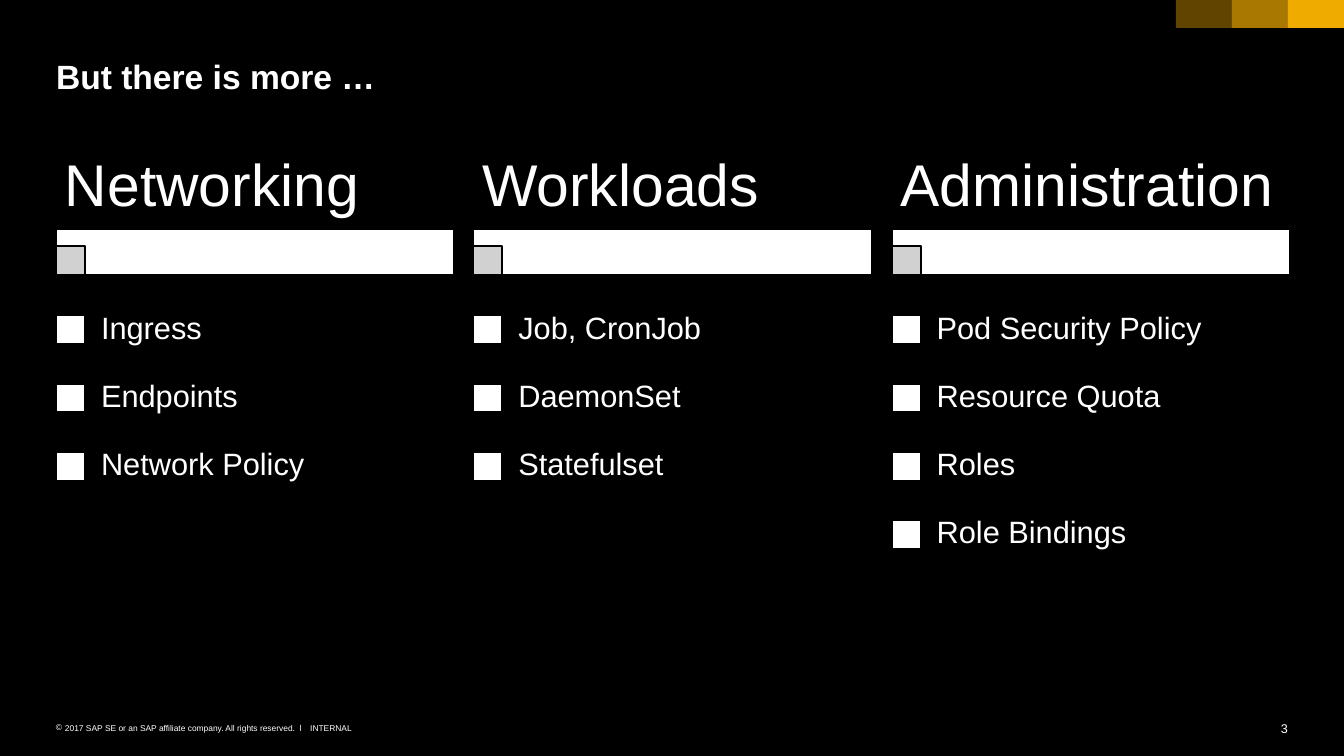
from dataclasses import dataclass

from lxml import etree
from pptx import Presentation
from pptx import util as u
from pptx.dml.color import RGBColor
from pptx.enum import shapes, text
from pptx.oxml.ns import qn

EMU_PER_PX = 9080
PAGE_W, PAGE_H = 1343, 755
LEFT = 56
FONT = "Arial"
COLORS = {"black": "000000", "white": "FFFFFF", "grey": "CCCCCC", "gold": "F0AB00"}

COLUMN_W = 398
BAR_TOP, BAR_H = 229, 46
MARKER = 29
ITEM_TOP, ITEM_H, ITEM_INDENT = 295, 68, 28
SWATCH_W, SWATCH_H = 56, 28


@dataclass
class Column:
    heading: str
    items: list[str]


@dataclass
class Style:
    size: int
    inset_x: int = 0
    inset_y: int = 0
    anchor: text.MSO_ANCHOR = text.MSO_ANCHOR.TOP
    align: text.PP_ALIGN = text.PP_ALIGN.LEFT
    bold: bool = False
    wrap: bool = True
    line_spacing: float = 1.0
    bullet: str = ""


TITLE = Style(24, bold=True)
HEADING = Style(42, 9, 6, text.MSO_ANCHOR.MIDDLE, line_spacing=0.9)
ITEM = Style(22, 17, 17, text.MSO_ANCHOR.MIDDLE, line_spacing=0.9)
COPYRIGHT = Style(6, bullet="©")
LABEL = Style(6, wrap=False)
NUMBER = Style(9, align=text.PP_ALIGN.RIGHT, wrap=False)

COLUMNS = [
    Column("Networking", ["Ingress", "Endpoints", "Network Policy"]),
    Column("Workloads", ["Job, CronJob", "DaemonSet", "Statefulset"]),
    Column("Administration",
           ["Pod Security Policy", "Resource Quota", "Roles", "Role Bindings"]),
]


def px(length: int) -> u.Emu:
    return u.Emu(length * EMU_PER_PX)


def color(name: str) -> RGBColor:
    return RGBColor.from_string(COLORS[name])


def add_bullet(para, mark: str) -> None:
    props = para._p.get_or_add_pPr()
    props.set("marL", str(px(9)))
    props.set("indent", str(-px(9)))
    tint = etree.SubElement(props, qn("a:buClr"))
    etree.SubElement(tint, qn("a:srgbClr"), val=COLORS["white"])
    etree.SubElement(props, qn("a:buFont"), typeface=FONT)
    etree.SubElement(props, qn("a:buChar"), char=mark)


def write(box, words: str, style: Style) -> None:
    frame = box.text_frame
    frame.word_wrap = style.wrap
    frame.auto_size = text.MSO_AUTO_SIZE.NONE
    frame.vertical_anchor = style.anchor
    frame.margin_left = frame.margin_right = px(style.inset_x)
    frame.margin_top = frame.margin_bottom = px(style.inset_y)
    para = frame.paragraphs[0]
    para.text = words
    para.alignment = style.align
    para.line_spacing = style.line_spacing
    para.space_before = u.Pt(0)
    if style.bullet:
        add_bullet(para, style.bullet)
    para.font.name = FONT
    para.font.size = u.Pt(style.size)
    para.font.bold = style.bold
    para.font.color.rgb = color("white")


def add_text(page, x: int, y: int, w: int, h: int, words: str, style: Style) -> None:
    write(page.shapes.add_textbox(px(x), px(y), px(w), px(h)), words, style)


def add_rect(page, x: int, y: int, w: int, h: int, fill: str,
             opacity: int = 100, outlined: bool = True) -> None:
    rect = page.shapes.add_shape(
        shapes.MSO_SHAPE.RECTANGLE, px(x), px(y), px(w), px(h))
    rect.shadow.inherit = False
    rect.fill.solid()
    rect.fill.fore_color.rgb = color(fill)
    if opacity < 100:
        tint = rect._element.spPr.find(qn("a:solidFill")).find(qn("a:srgbClr"))
        etree.SubElement(tint, qn("a:alpha"), val=str(opacity * 1000))
    if outlined:
        rect.line.color.rgb = color("black")
        rect.line.width = u.Pt(1.5)
    else:
        rect.line.fill.background()


def add_column(page, x: int, column: Column) -> None:
    add_rect(page, x, BAR_TOP, COLUMN_W, BAR_H, "white")
    add_rect(page, x, BAR_TOP + BAR_H - MARKER, MARKER, MARKER, "grey", 90)
    add_text(page, x, 145, COLUMN_W, 84, column.heading, HEADING)
    for row, item in enumerate(column.items):
        y = ITEM_TOP + row * ITEM_H
        add_rect(page, x, y + (ITEM_H - MARKER + 1) // 2, MARKER, MARKER, "white")
        add_text(page, x + ITEM_INDENT, y, COLUMN_W - ITEM_INDENT, ITEM_H, item, ITEM)


def add_frame(page) -> None:
    """Draw the footer and the corner swatches."""
    add_text(page, 1272, 720, 15, 15, "3", NUMBER)
    add_text(page, 310, 722, 42, 10, "INTERNAL", LABEL)
    add_text(page, LEFT, 722, 250, 10,
             "2017 SAP SE or an SAP affiliate company. All rights reserved.  ǀ",
             COPYRIGHT)
    for place, opacity in enumerate([100, 70, 40], start=1):
        add_rect(page, PAGE_W - place * SWATCH_W, 0, SWATCH_W, SWATCH_H,
                 "gold", opacity, outlined=False)


def main() -> None:
    deck = Presentation()
    deck.slide_width, deck.slide_height = px(PAGE_W), px(PAGE_H)
    page = deck.slides.add_slide(deck.slide_layouts[5])
    page.background.fill.solid()
    page.background.fill.fore_color.rgb = color("black")

    title = page.shapes.title
    title.left, title.top, title.width, title.height = map(px, (LEFT, 56, 1231, 40))
    write(title, "But there is more …", TITLE)

    add_frame(page)
    for place, column in enumerate(COLUMNS):
        add_column(page, LEFT + place * 835 // 2, column)
    deck.save("out.pptx")


if __name__ == "__main__":
    main()
